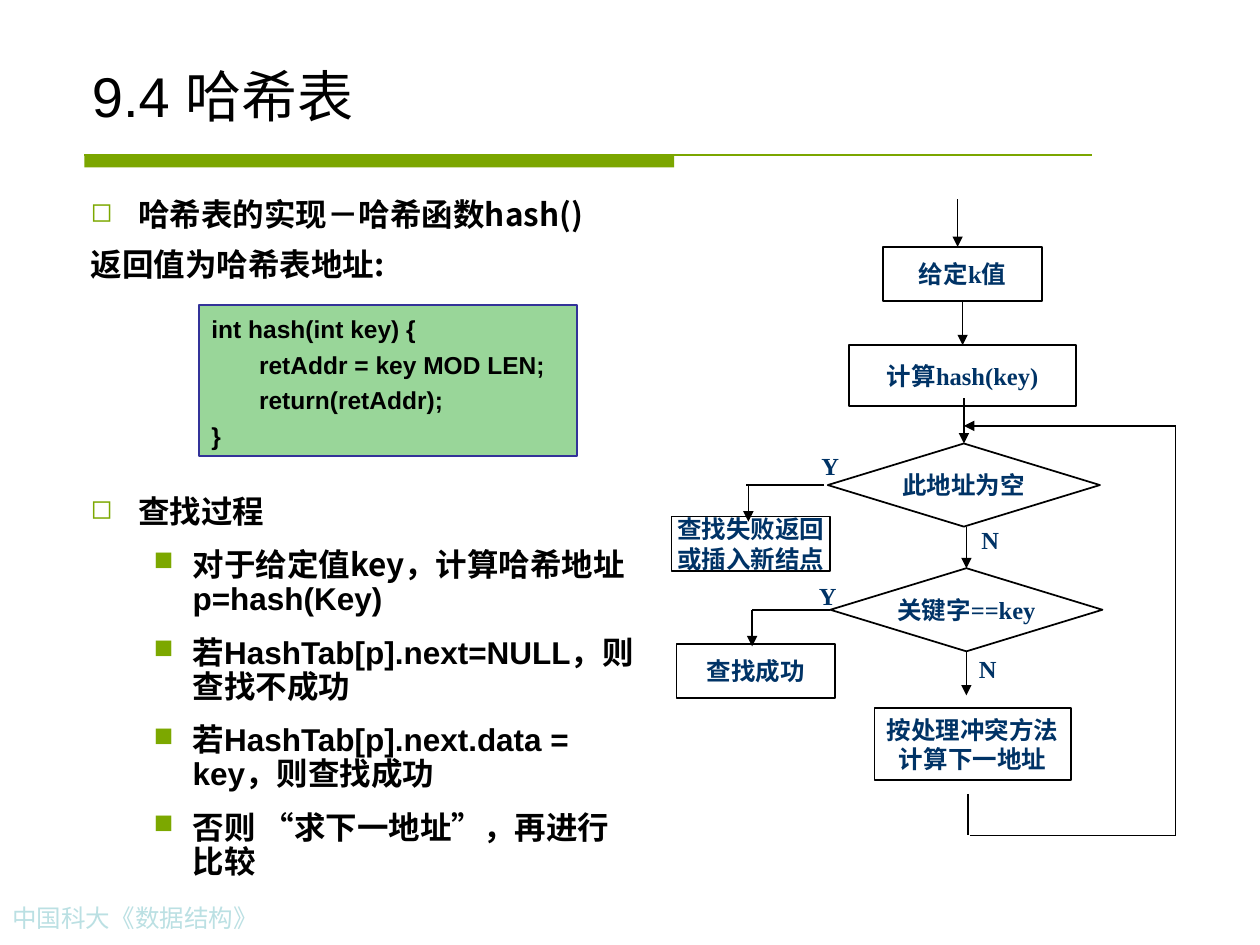
from lxml import etree
from pptx import Presentation
from pptx.dml.color import RGBColor
from pptx.enum.shapes import MSO_CONNECTOR, MSO_SHAPE
from pptx.enum.text import MSO_ANCHOR, MSO_AUTO_SIZE, PP_ALIGN
from pptx.oxml.ns import qn
from pptx.util import Inches, Pt

STRAIGHT = MSO_CONNECTOR.STRAIGHT
RECTANGLE = MSO_SHAPE.RECTANGLE
PROCESS = MSO_SHAPE.FLOWCHART_PROCESS
DECISION = MSO_SHAPE.FLOWCHART_DECISION
TOP, LEFT, BOTTOM = 0, 1, 2

COLORS = {"band": "7BA600", "bullet": "7CA800", "footer": "BBE0E3", "text": "000000",
          "flow": "003366", "code": "009900", "code_edge": "333399"}
COLORS = {part: RGBColor.from_string(value) for part, value in COLORS.items()}
CJK, SANS, SERIF = "Noto Sans CJK SC", "Arial", "Times New Roman"
TITLE_FONT = {"name": SANS, "size": Pt(32), "bold": False}
FOOTER_FONT = {"name": SERIF, "size": Pt(14)}
BODY_FONT = {"name": CJK, "size": Pt(18), "bold": True}
CODE_FONT = {"name": SANS, "size": Pt(14), "bold": True}
FLOW_FONT = {"name": SERIF, "size": Pt(14), "bold": True}


def add_run(paragraph, text, font_format, color):
    run = paragraph.add_run()
    run.text = text
    for attribute, value in font_format.items():
        setattr(run.font, attribute, value)
    run.font.color.rgb = COLORS[color]
    etree.SubElement(run.font._element, qn("a:ea"), typeface=CJK)


def add_line(start, end, color="text", width=1, arrow=False):
    points = [Inches(value) for value in (*start, *end)]
    line = slide.shapes.add_connector(STRAIGHT, *points)
    line.line.color.rgb = COLORS[color]
    line.line.width = Pt(width)
    if arrow:
        etree.SubElement(line.line._get_or_add_ln(), qn("a:tailEnd"), type="triangle")
    etree.SubElement(line._element.spPr, qn("a:effectLst"))
    return line


prs = Presentation()
prs.slide_width, prs.slide_height = Inches(10), Inches(7.5)
slide = prs.slides.add_slide(prs.slide_layouts[5])

title = slide.shapes.title
title.left, title.top = Inches(0.63), Inches(0.33)
title.width, title.height = Inches(8.75), Inches(0.74)
title.text_frame.auto_size = MSO_AUTO_SIZE.NONE
title.text_frame.vertical_anchor = MSO_ANCHOR.BOTTOM
title.text_frame.paragraphs[0].alignment = PP_ALIGN.LEFT
add_run(title.text_frame.paragraphs[0], "9.4 哈希表", TITLE_FONT, "text")

band = slide.shapes.add_shape(RECTANGLE, Inches(0.67), Inches(1.23), Inches(4.68), Inches(0.1))
band.shadow.inherit = False
band.fill.solid()
band.fill.fore_color.rgb = COLORS["band"]
band.line.fill.background()
add_line((0.67, 1.23), (8.67, 1.23), "band", 0.75)

footer = slide.shapes.add_textbox(Inches(0), Inches(7.12), Inches(3.11), Inches(0.34))
footer.text_frame.word_wrap = True
add_run(footer.text_frame.paragraphs[0], "中国科大《数据结构》", FOOTER_FONT, "footer")

body = slide.shapes.add_textbox(Inches(0.62), Inches(1.47), Inches(4.55), Inches(5.7))
body.text_frame.word_wrap = True
heading = {"margin": 0.38, "hang": 0.38, "spacing": 1.1}
step = {"margin": 0.81, "hang": 0.31, "spacing": 0.9}
body_items = [
    (heading, "◻", 0, [("哈希表的实现－哈希函数hash()", CJK)]),
    (heading, None, 4.5, [("返回值为哈希表地址:", CJK)]),
    (heading, "◻", 117.5, [("查找过程", CJK)]),
    (step, "■", 11.2, [("对于给定值key，计算哈希地址 ", CJK), ("p=hash(Key)", SANS)]),
    (step, "■", 11.2, [("若", CJK), ("HashTab[p].next=NULL", SANS), ("，则查找不成功", CJK)]),
    (step, "■", 11.2, [("若", CJK), ("HashTab[p].next.data = key", SANS), ("，则查找成功", CJK)]),
    (step, "■", 11.2, [("否则 “求下一地址”，再进行比较", CJK)]),
]
for index, (level, bullet, space_before, runs) in enumerate(body_items):
    paragraph = body.text_frame.add_paragraph() if index else body.text_frame.paragraphs[0]
    properties = paragraph._p.get_or_add_pPr()
    properties.set("marL", str(Inches(level["margin"])))
    properties.set("indent", str(-Inches(level["hang"])))
    if level is step:
        paragraph.level = 1
    if bullet:
        bullet_color = etree.SubElement(properties, qn("a:buClr"))
        etree.SubElement(bullet_color, qn("a:srgbClr"), val=str(COLORS["bullet"]))
        etree.SubElement(properties, qn("a:buSzPct"), val="85000")
        etree.SubElement(properties, qn("a:buChar"), char=bullet)
    paragraph.line_spacing = level["spacing"]
    paragraph.space_before = Pt(space_before)
    for text, font_name in runs:
        add_run(paragraph, text, {**BODY_FONT, "name": font_name}, "text")

code = slide.shapes.add_shape(RECTANGLE, Inches(1.58), Inches(2.42), Inches(3), Inches(1.2))
code.shadow.inherit = False
code.fill.solid()
code.fill.fore_color.rgb = COLORS["code"]
code_color = code._element.spPr.find(qn("a:solidFill")).find(qn("a:srgbClr"))
etree.SubElement(code_color, qn("a:alpha"), val="40000")
code.line.color.rgb = COLORS["code_edge"]
code.line.width = Pt(0.75)
code.text_frame.vertical_anchor = MSO_ANCHOR.TOP
code_lines = ["int hash(int key) {", "       retAddr = key MOD LEN;", "       return(retAddr);", "}"]
for index, text in enumerate(code_lines):
    paragraph = code.text_frame.add_paragraph() if index else code.text_frame.paragraphs[0]
    paragraph.alignment = PP_ALIGN.LEFT
    paragraph.line_spacing = 1.1
    paragraph.space_before = Pt(1.8 if index else 0)
    add_run(paragraph, text, CODE_FONT, "text")

flow_steps = {
    "given": (PROCESS, 7.01, 1.96, 1.26, 0.43, ["给定k值"]),
    "hash": (PROCESS, 6.74, 2.74, 1.8, 0.48, ["计算hash(key)"]),
    "empty": (DECISION, 6.57, 3.52, 2.16, 0.66, ["此地址为空"]),
    "match": (DECISION, 6.59, 4.51, 2.16, 0.66, ["关键字==key"]),
    "failed": (PROCESS, 5.33, 4.1, 1.26, 0.43, ["查找失败返回", "或插入新结点"]),
    "found": (PROCESS, 5.37, 5.11, 1.26, 0.43, ["查找成功"]),
    "next": (PROCESS, 6.94, 5.62, 1.56, 0.57, ["按处理冲突方法", "计算下一地址"]),
}
nodes = {}
for key, (preset, left, top, width, height, lines) in flow_steps.items():
    node = slide.shapes.add_shape(preset, Inches(left), Inches(top), Inches(width), Inches(height))
    node.shadow.inherit = False
    node.fill.background()
    node.line.color.rgb = COLORS["text"]
    node.line.width = Pt(1)
    node.text_frame.word_wrap = False
    node.text_frame.vertical_anchor = MSO_ANCHOR.MIDDLE
    for index, text in enumerate(lines):
        paragraph = node.text_frame.add_paragraph() if index else node.text_frame.paragraphs[0]
        paragraph.alignment = PP_ALIGN.CENTER
        add_run(paragraph, text, FLOW_FONT, "flow")
    nodes[key] = node

flow_lines = [
    ((7.6, 1.58), (7.6, 1.96), True, None, None),
    ((7.64, 2.39), (7.64, 2.74), True, ("given", BOTTOM), ("hash", TOP)),
    ((7.65, 3.16), (7.65, 3.52), True, None, ("empty", TOP)),
    ((7.67, 4.18), (7.67, 4.51), True, None, ("match", TOP)),
    ((7.67, 5.17), (7.67, 5.52), True, ("match", BOTTOM), None),
    ((6.54, 3.85), (5.92, 3.85), False, None, None),
    ((5.94, 3.85), (5.94, 4.14), True, None, None),
    ((6.59, 4.84), (5.97, 4.84), False, ("match", LEFT), None),
    ((5.97, 4.84), (5.97, 5.13), True, None, None),
    ((7.68, 6.3), (7.68, 6.63), False, None, None),
    ((7.7, 6.63), (9.33, 6.63), False, None, None),
    ((9.33, 6.63), (9.33, 3.38), False, None, None),
    ((9.33, 3.38), (7.65, 3.38), True, None, None),
]
for start, end, arrow, source, target in flow_lines:
    flow_line = add_line(start, end, arrow=arrow)
    if source:
        flow_line.begin_connect(nodes[source[0]], source[1])
    if target:
        flow_line.end_connect(nodes[target[0]], target[1])

for answer, left, top in [("Y", 6.42, 3.53), ("N", 7.69, 4.12), ("Y", 6.4, 4.56), ("N", 7.67, 5.14)]:
    label = slide.shapes.add_textbox(Inches(left), Inches(top), Inches(0.34), Inches(0.34))
    label.text_frame.word_wrap = False
    add_run(label.text_frame.paragraphs[0], answer, FLOW_FONT, "flow")

prs.save("out.pptx")
